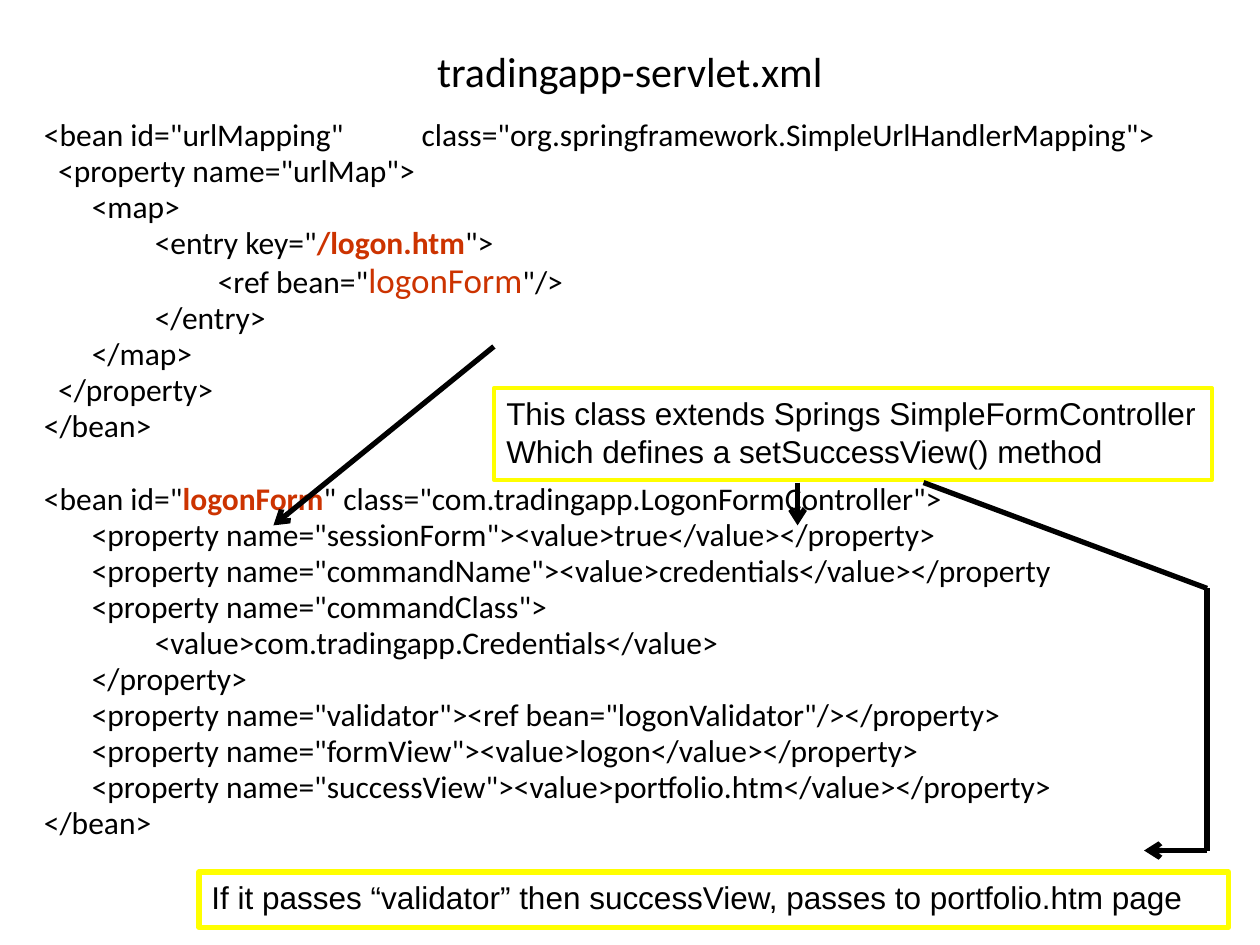
from dataclasses import dataclass
from itertools import pairwise

from lxml.etree import SubElement
from pptx import Presentation
from pptx.dml.color import RGBColor
from pptx.enum.shapes import MSO_CONNECTOR
from pptx.enum.text import MSO_ANCHOR, MSO_AUTO_SIZE, PP_ALIGN
from pptx.oxml.ns import qn
from pptx.util import Inches, Pt


@dataclass(frozen=True)
class Theme:
    text: RGBColor = RGBColor(0x00, 0x00, 0x00)
    highlight: RGBColor = RGBColor(0xCC, 0x33, 0x00)
    note_border: RGBColor = RGBColor(0xFF, 0xFF, 0x00)
    code_font: str = "Calibri"
    note_font: str = "Arial"
    title_size: Pt = Pt(24)
    text_size: Pt = Pt(18)
    large_size: Pt = Pt(20)
    arrow_width: Pt = Pt(3)
    line_gap: Pt = Pt(3.3)
    block_gap: Pt = Pt(24.2)


THEME = Theme()

PLAIN = {"name": THEME.code_font, "size": THEME.text_size, "bold": False, "color": THEME.text}
BOLD = PLAIN | {"bold": True, "color": THEME.highlight}
LARGE = PLAIN | {"size": THEME.large_size, "color": THEME.highlight}
TITLE = PLAIN | {"size": THEME.title_size}
NOTE = PLAIN | {"name": THEME.note_font}

# Each block is a list of lines; a line is plain text or a list of (text, format) runs.
MAPPING_BEAN = [
    '<bean id="urlMapping"           class="org.springframework.SimpleUrlHandlerMapping">',
    '  <property name="urlMap">',
    "\t<map>",
    [('\t\t<entry key="', PLAIN), ("/logon.htm", BOLD), ('">', PLAIN)],
    [('\t\t\t<ref bean="', PLAIN), ("logonForm", LARGE), ('"/>', PLAIN)],
    "\t\t</entry>",
    "\t</map>",
    "  </property>",
    "</bean>",
]
FORM_BEAN = [
    [
        ('<bean id="', PLAIN),
        ("logonForm", BOLD),
        ('" class="com.tradingapp.LogonFormController">', PLAIN),
    ],
    '\t<property name="sessionForm"><value>true</value></property>',
    '\t<property name="commandName"><value>credentials</value></property',
    '\t<property name="commandClass">',
    "\t\t<value>com.tradingapp.Credentials</value>",
    "\t</property>",
    '\t<property name="validator"><ref bean="logonValidator"/></property>',
    '\t<property name="formView"><value>logon</value></property>',
    '\t<property name="successView"><value>portfolio.htm</value></property>',
    "</bean>",
]


def add_run(paragraph, text, formats):
    run = paragraph.add_run()
    run.text = text
    for name, value in formats.items():
        if name == "color":
            run.font.color.rgb = value
        else:
            setattr(run.font, name, value)


def add_text_frame(slide, box, wrap=True):
    """Add a text box at (left, top, width, height) in inches."""
    shape = slide.shapes.add_textbox(*map(Inches, box))
    shape.text_frame.word_wrap = wrap
    return shape, shape.text_frame


def add_title(slide, box, text):
    _, frame = add_text_frame(slide, box)
    frame.vertical_anchor = MSO_ANCHOR.MIDDLE
    paragraph = frame.paragraphs[0]
    paragraph.alignment = PP_ALIGN.CENTER
    add_run(paragraph, text, TITLE)


def add_code(slide, box, blocks):
    """Fill the box with code blocks, set apart by paragraph spacing."""
    _, frame = add_text_frame(slide, box)
    paragraph = frame.paragraphs[0]
    for block_index, block in enumerate(blocks):
        for line_index, line in enumerate(block):
            if block_index or line_index:
                paragraph = frame.add_paragraph()
                paragraph.space_before = THEME.line_gap if line_index else THEME.block_gap
            paragraph.line_spacing = 0.8
            properties = paragraph._p.get_or_add_pPr()
            properties.set("marL", str(Inches(0.38)))
            properties.set("indent", str(Inches(-0.38)))
            runs = [(line, PLAIN)] if isinstance(line, str) else line
            for text, formats in runs:
                add_run(paragraph, text, formats)


def add_note(slide, box, lines, border_width, wrap=True):
    shape, frame = add_text_frame(slide, box, wrap)
    frame.auto_size = MSO_AUTO_SIZE.SHAPE_TO_FIT_TEXT
    shape.line.color.rgb = THEME.note_border
    shape.line.width = border_width
    for index, line in enumerate(lines):
        paragraph = frame.add_paragraph() if index else frame.paragraphs[0]
        add_run(paragraph, line, NOTE)


def add_arrow(slide, points):
    """Join the points with straight lines; the last one carries the arrowhead."""
    for start, end in pairwise(points):
        connector = slide.shapes.add_connector(
            MSO_CONNECTOR.STRAIGHT, *map(Inches, (*start, *end))
        )
        connector.line.color.rgb = THEME.text
        connector.line.width = THEME.arrow_width
        SubElement(connector._element.spPr, qn("a:effectLst"))
    SubElement(connector.line._get_or_add_ln(), qn("a:tailEnd"), type="arrow")


def build_slide(presentation):
    slide = presentation.slides.add_slide(presentation.slide_layouts[6])
    add_title(slide, (0.5, 0.3, 9, 0.53), "tradingapp-servlet.xml")
    add_code(slide, (0.25, 0.92, 9.42, 6.42), [MAPPING_BEAN, FORM_BEAN])
    add_arrow(slide, [(3.92, 2.75), (2.17, 4.17)])
    add_note(
        slide,
        (3.92, 3.08, 5.7, 0.73),
        [
            "This class extends Springs SimpleFormController",
            "Which defines a setSuccessView() method",
        ],
        Pt(2.25),
        wrap=False,
    )
    add_arrow(slide, [(6.33, 3.83), (6.33, 4.17)])
    add_arrow(slide, [(7.33, 3.83), (9.58, 4.67), (9.58, 6.75), (9.08, 6.75)])
    add_note(
        slide,
        (1.58, 6.92, 8.17, 0.44),
        ["If it passes “validator” then successView, passes to portfolio.htm page"],
        Pt(3),
    )


def main():
    presentation = Presentation()
    presentation.slide_width = Inches(10)
    presentation.slide_height = Inches(7.5)
    build_slide(presentation)
    presentation.save("out.pptx")


if __name__ == "__main__":
    main()
